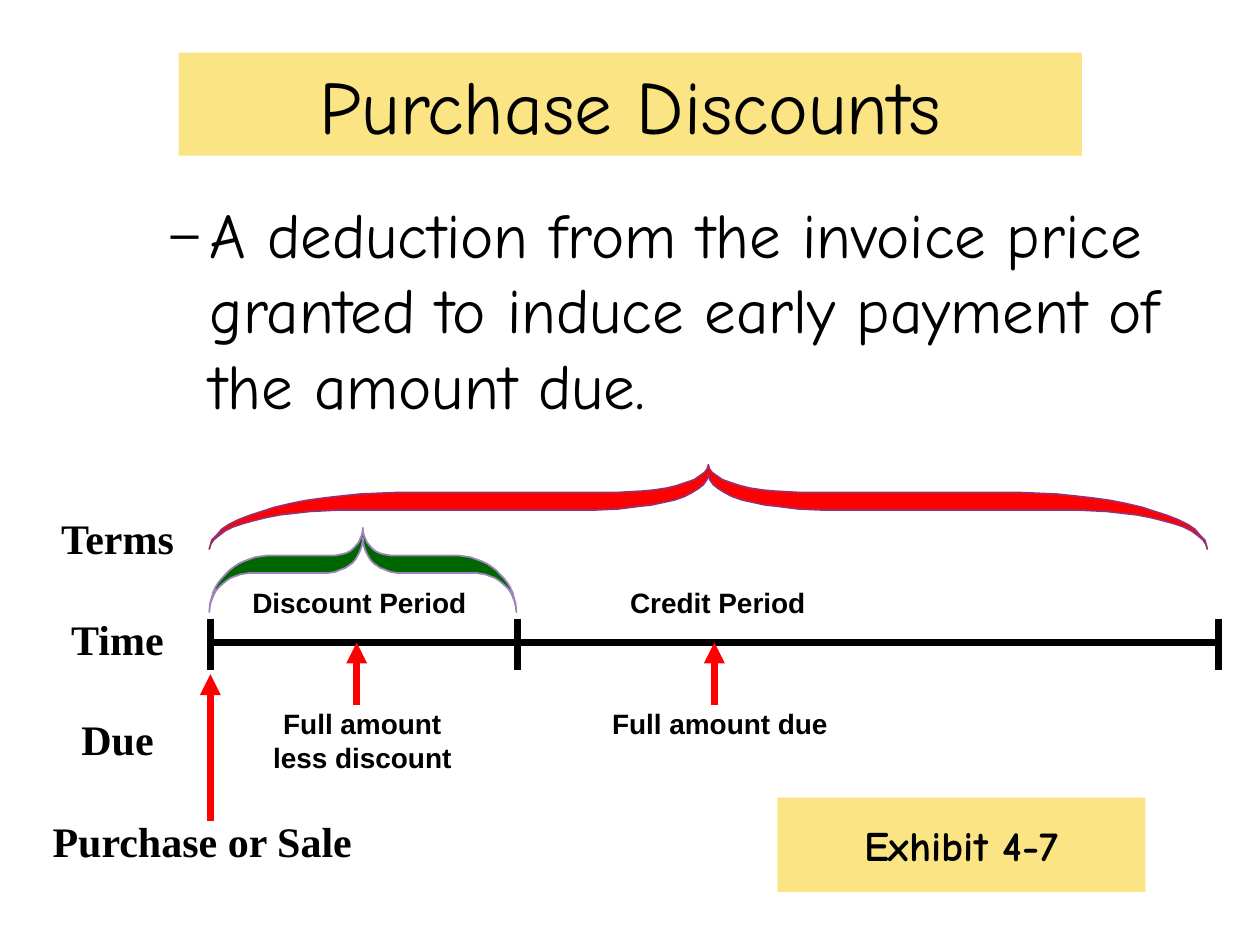
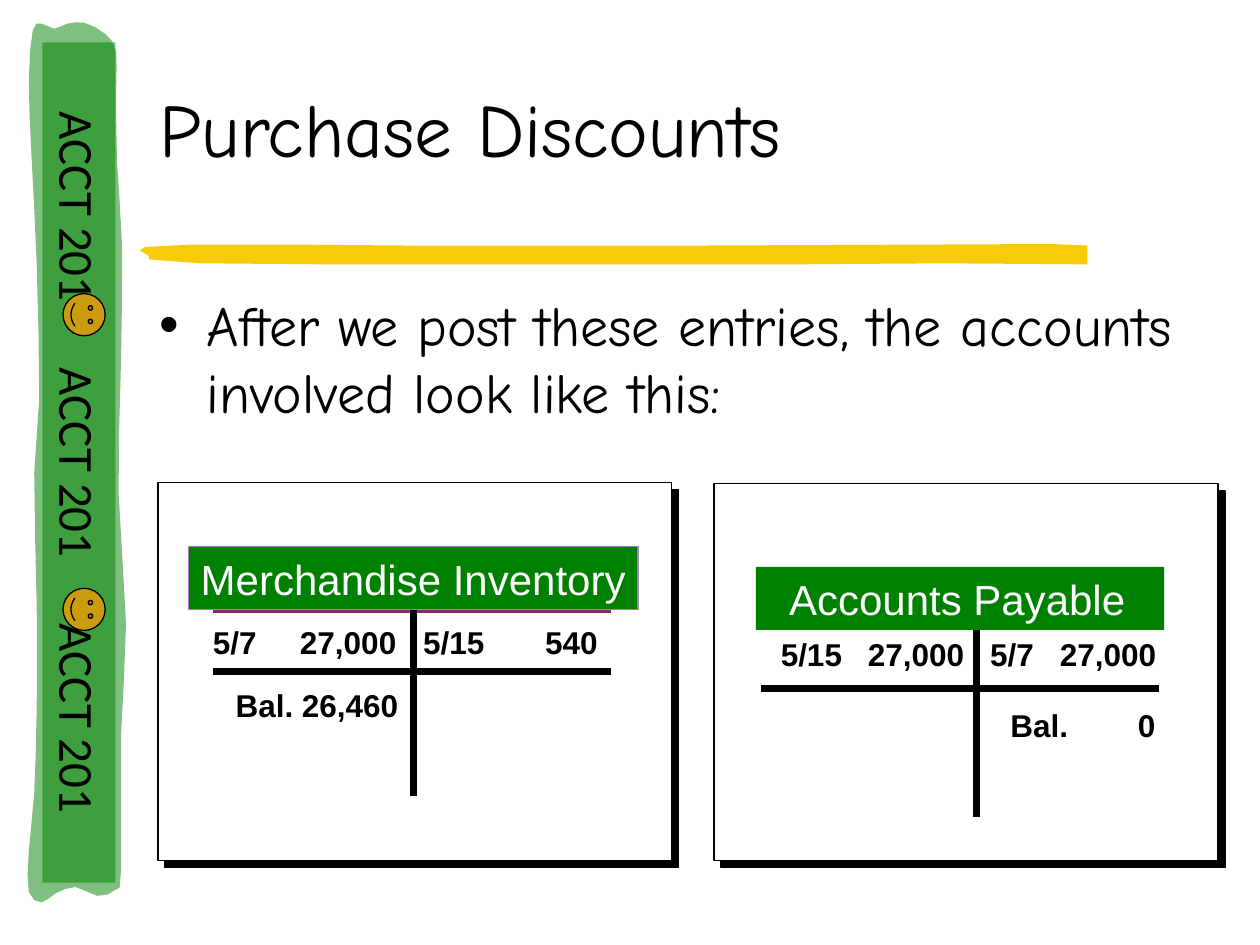
from lxml.etree import SubElement
from pptx import Presentation
from pptx.dml.color import RGBColor
from pptx.enum.shapes import MSO_CONNECTOR, MSO_SHAPE
from pptx.enum.text import MSO_ANCHOR, PP_ALIGN
from pptx.oxml.ns import qn
from pptx.util import Cm, Pt

COLORS = {
    "black": "000000", "white": "FFFFFF", "gold": "F8CB0A", "green": "008000",
    "dark green": "006600", "red": "FF0000", "lilac": "9F83BD",
    "plum": "9A2F6F", "wine": "892D5B", "smiley": "CC9B10",
}
HAND, SANS, SERIF, BAND = "Comic Neue", "Arial", "Times New Roman", "Calibri"
TITLE = {"text": "Purchase Discounts", "size": 43}

# Left half of a brace: x in percent of the half width, y in cm
BRACE_TOP = [
    (0, 1.7), (0.5, 1.52), (1.5, 1.42), (2.5, 1.3), (4, 1.2), (5.8, 1.11), (8.1, 1.02),
    (10.6, 0.94), (13, 0.86), (16.4, 0.78), (19.4, 0.72), (23, 0.67), (26.5, 0.63),
    (30.3, 0.59), (37.6, 0.56), (81.6, 0.56), (86.9, 0.53), (89.1, 0.51),
    (91.7, 0.47), (93.7, 0.42), (95.5, 0.36), (97.2, 0.3), (98.2, 0.23),
    (99.3, 0.15), (99.8, 0.08), (100, 0)]
BRACE_BOTTOM = [
    (100, 0.2), (99.7, 0.3), (99, 0.4), (98, 0.48), (96.7, 0.56), (95.2, 0.64),
    (93.2, 0.71), (90.9, 0.76), (88.6, 0.81), (85.9, 0.84), (82, 0.89), (77.5, 0.91),
    (26.3, 0.91), (20.2, 0.94), (14.1, 1.01), (11.5, 1.06), (9.1, 1.12), (6.9, 1.18),
    (4.8, 1.25), (3.2, 1.33), (2, 1.42), (0.9, 1.51), (0.3, 1.6)]
BRUSH_STROKE = [
    (6.58, 5.33), (4.04, 5.31), (3, 5.23), (3, 5.16), (2.82, 5.05), (2.92, 4.98),
    (3.91, 4.93), (5.72, 4.93), (8.13, 4.95), (14.27, 4.95), (19.02, 4.93),
    (21.2, 4.92), (21.92, 4.95), (21.92, 5.33), (19.02, 5.31), (15.98, 5.33)]
BAND_EDGE = [
    (0.74, 14.25), (0.74, 12.22), (0.69, 9.53), (0.79, 8.05), (0.74, 5.33),
    (0.64, 3.23), (0.58, 1.65), (0.66, 0.61), (0.84, 0.48), (1.09, 0.58),
    (1.35, 0.48), (1.7, 0.46), (2.13, 0.69), (2.34, 1.04), (2.34, 1.8),
    (2.36, 3.28), (2.46, 4.95), (2.44, 7.26), (2.39, 9.93), (2.54, 12.57),
    (2.44, 14.81), (2.44, 17.53), (2.34, 17.93), (1.96, 18.06), (1.52, 17.88),
    (1.12, 18.01), (0.84, 18.19), (0.58, 17.98), (0.58, 17.17), (0.69, 15.98)]


def rgb(name):
    return RGBColor.from_string(COLORS[name])


def smooth_curve(points, steps=2):
    """Return a closed Catmull-Rom curve through the points."""
    curve = []
    for i in range(len(points)):
        before, start, end, after = (points[(i + k) % len(points)] for k in (-1, 0, 1, 2))
        for t in (step / steps for step in range(steps)):
            curve.append(tuple(
                b + (c - a) * t / 2 + (2 * a - 5 * b + 4 * c - d) * t ** 2 / 2
                + (3 * b - a - 3 * c + d) * t ** 3 / 2
                for a, b, c, d in zip(before, start, end, after)))
    return curve


def write_text(frame, text, size=16, font=SANS, color="black", bold=False,
               align=PP_ALIGN.LEFT, anchor=MSO_ANCHOR.TOP, wrap=False, gap=0,
               inset=0.25, bullet=None, bullet_size=100, indent=0, hanging=0, tabs=()):
    """Fill a frame, one paragraph a line; tabs are (position in cm, alignment)."""
    frame.word_wrap = wrap
    frame.vertical_anchor = anchor
    frame.margin_left, frame.margin_right = Cm(inset), Cm(0.25)
    frame.margin_top = frame.margin_bottom = Cm(0.13)
    for number, line in enumerate(text.split("\n")):
        paragraph = frame.add_paragraph() if number else frame.paragraphs[0]
        paragraph.alignment = align
        if number and gap:
            paragraph.space_before = Pt(gap)
        properties = paragraph._p.get_or_add_pPr()
        if bullet:
            properties.set("marL", str(Cm(indent)))
            properties.set("indent", str(-Cm(hanging)))
            SubElement(properties, qn("a:buSzPct"), val=str(bullet_size * 1000))
            SubElement(properties, qn("a:buFont"), typeface=SANS)
            SubElement(properties, qn("a:buChar"), char=bullet)
        if tabs:
            tab_list = SubElement(properties, qn("a:tabLst"))
            for position, side in tabs:
                SubElement(tab_list, qn("a:tab"), pos=str(Cm(position)), algn=side)
        run = paragraph.add_run()
        run.text = line
        run.font.size, run.font.name, run.font.bold = Pt(size), font, bold
        run.font.color.rgb = rgb(color)


class Deck:
    def __init__(self):
        self.presentation = Presentation()
        self.presentation.slide_width = Cm(25.4)
        self.presentation.slide_height = Cm(19.05)
        self.slide = None

    def new_slide(self):
        self.slide = self.presentation.slides.add_slide(self.presentation.slide_layouts[6])

    def paint(self, shape, fill, line=None, width=1, alpha=100):
        shape.shadow.inherit = False
        shape.fill.solid()
        shape.fill.fore_color.rgb = rgb(fill)
        if alpha < 100:
            color = shape.element.spPr.find(qn("a:solidFill"))[0]
            SubElement(color, qn("a:alpha"), val=str(alpha * 1000))
        if line:
            shape.line.color.rgb = rgb(line)
            shape.line.width = Pt(width)
        else:
            shape.line.fill.background()
        return shape

    def text(self, box, text, **style):
        frame = self.slide.shapes.add_textbox(*map(Cm, box)).text_frame
        write_text(frame, text, **style)

    def shape(self, box, fill, kind=MSO_SHAPE.RECTANGLE, rotation=0, **paint):
        shape = self.slide.shapes.add_shape(kind, *map(Cm, box))
        shape.rotation = rotation
        return self.paint(shape, fill, **paint)

    def label(self, box, fill, text, rotation=0, line=None, alpha=100, **style):
        shape = self.shape(box, fill, rotation=rotation, line=line, alpha=alpha)
        write_text(shape.text_frame, text, **style)
        return shape

    def outline(self, points, fill, **paint):
        points = [(Cm(x), Cm(y)) for x, y in points]
        builder = self.slide.shapes.build_freeform(*points[0])
        builder.add_line_segments(points[1:], close=True)
        return self.paint(builder.convert_to_shape(), fill, **paint)

    def brace(self, left, top, width, fill, line):
        def mirrored(half):
            return [(200 - x, y) for x, y in reversed(half)]

        points = BRACE_TOP + mirrored(BRACE_TOP)[1:] + mirrored(BRACE_BOTTOM) + BRACE_BOTTOM
        self.outline([(left + x * width / 200, top + y) for x, y in points], fill, line=line)

    def line(self, x1, y1, x2, y2, color="black", arrow=False):
        connector = self.slide.shapes.add_connector(
            MSO_CONNECTOR.STRAIGHT, *map(Cm, (x1, y1, x2, y2)))
        connector.line.color.rgb = rgb(color)
        connector.line.width = Pt(4)
        if arrow:
            SubElement(connector.line._get_or_add_ln(), qn("a:tailEnd"), type="triangle")
        SubElement(connector.element.spPr, qn("a:effectLst"))
        return connector

    def panel(self, box):
        """Draw a white card with a hard black shadow."""
        card = self.shape(box, "white", line="black")
        effects = card.element.spPr.find(qn("a:effectLst"))
        shadow = SubElement(effects, qn("a:outerShdw"), blurRad="0", dist=str(Pt(5.7)),
                            dir="2700000", algn="ctr", rotWithShape="0")
        SubElement(shadow, qn("a:srgbClr"), val=COLORS["black"])

    def account(self, name, card, header, stem, rule, top_rule, entries,
                border=None, joined=False, inset=0.25):
        """Draw a T-account; entries are (left, top, text, right tab)."""
        self.panel(card)
        self.line(*top_rule)
        heading = self.label(header, "green", name, line=border, size=24, inset=inset,
                             color="white", align=PP_ALIGN.CENTER)
        bottom = header[1] + header[3]
        upright = self.line(stem, bottom, stem, bottom + 3.76)
        if joined:
            upright.begin_connect(heading, 2)
        rule_left, rule_top = rule
        self.line(rule_left, rule_top, rule_left + 8.03, rule_top)
        for left, top, text, tab in entries:
            self.text((left, top, tab + 0.6, 1.02), text, size=18, bold=True,
                      wrap=True, tabs=[(tab, "r")])

    def side_band(self):
        self.outline(BRUSH_STROKE, "gold")
        self.outline(smooth_curve(BAND_EDGE), "green", alpha=50)
        self.label((-6.88, 8.59, 16.94, 1.47), "green", "\t".join(["ACCT 201"] * 3),
                   rotation=90, alpha=50, size=28, font=BAND, inset=1.4, wrap=True,
                   anchor=MSO_ANCHOR.MIDDLE, tabs=[(5.16, "l"), (10.32, "l")])
        for top in (5.92, 11.86):
            self.shape((1.27, top, 0.85, 0.85), "smiley", MSO_SHAPE.SMILEY_FACE,
                       rotation=90, line="black", width=0.75)


def discount_timeline(deck):
    deck.new_slide()
    centered = {"align": PP_ALIGN.CENTER, "anchor": MSO_ANCHOR.MIDDLE, "font": HAND}
    deck.label((3.6, 1.06, 18.21, 2.08), "gold", alpha=50, wrap=True, **TITLE, **centered)
    deck.text((1.9, 3.81, 22.86, 5),
              "A deduction from the invoice price granted to induce early payment "
              "of the amount due.", size=36, font=HAND, wrap=True, bullet="–",
              bullet_size=80, indent=2.08, hanging=0.79)

    start, discount_end, credit_end, axis = 4.24, 10.44, 24.56, 12.95
    deck.line(start, axis, credit_end, axis)
    for tick in (start, discount_end, credit_end):
        deck.line(tick, 12.47, tick, 13.51)
    deck.brace(4.22, 10.64, 6.19, "dark green", "lilac")
    deck.brace(4.22, 9.37, 20.12, "red", "plum")

    heading = {"size": 24, "font": SERIF, "bold": True}
    deck.text((0.95, 10.21, 2.84, 5.33), "Terms\nTime\nDue", gap=28.6,
              align=PP_ALIGN.CENTER, **heading)
    deck.text((0.81, 16.31, 6.58, 1.27), "Purchase or Sale", **heading)
    for left, top, width, text in (
            (4.83, 11.68, 4.83, "Discount Period"),
            (12.45, 11.68, 4.04, "Credit Period"),
            (5.06, 14.12, 4.49, "Full amount\nless discount"),
            (12.09, 14.12, 4.85, "Full amount due")):
        deck.text((left, top, width, 0.91), text, bold=True, align=PP_ALIGN.CENTER)
    for x, bottom, top in ((14.4, 14.22, axis), (7.19, 14.22, axis), (start, 16.56, 13.59)):
        deck.line(x, bottom, x, top, "red", arrow=True)
    deck.label((15.67, 16.08, 7.42, 1.9), "gold", "Exhibit 4-7", alpha=50,
               size=24, bold=True, **centered)


def posted_accounts(deck):
    deck.new_slide()
    deck.side_band()
    deck.text((2.97, 1.52, 22.35, 2.08), font=HAND, wrap=True,
              anchor=MSO_ANCHOR.MIDDLE, **TITLE)
    deck.text((2.97, 5.72, 21.59, 3.5),
              "After we post these entries, the accounts involved look like this:",
              size=32, font=HAND, wrap=True, bullet="•", indent=0.95, hanging=0.95)
    deck.account("Merchandise Inventory", (3.18, 9.73, 10.36, 7.62),
                 (3.8, 11.02, 9.06, 1.27), 8.33, (4.29, 13.54),
                 (4.29, 12.29, 12.32, 12.29, "wine"),
                 [(4.04, 12.42, "5/7\t27,000", 3.7), (8.28, 12.42, "5/15\t540", 3.52),
                  (4.5, 13.69, "Bal.\t26,460", 3.28)], border="lilac", joined=True)
    deck.account("Accounts Payable", (14.4, 9.75, 10.16, 7.6),
                 (15.24, 11.43, 8.23, 1.27), 19.69, (15.34, 13.87),
                 (15.24, 12.6, 23.29, 12.6, "lilac"),
                 [(15.49, 12.67, "5/15\t27,000", 3.7), (19.71, 12.67, "5/7\t27,000", 3.35),
                  (20.12, 14.1, "Bal.\t0", 2.92)], inset=0.13)


def main():
    deck = Deck()
    discount_timeline(deck)
    posted_accounts(deck)
    deck.presentation.save("out.pptx")


if __name__ == "__main__":
    main()
